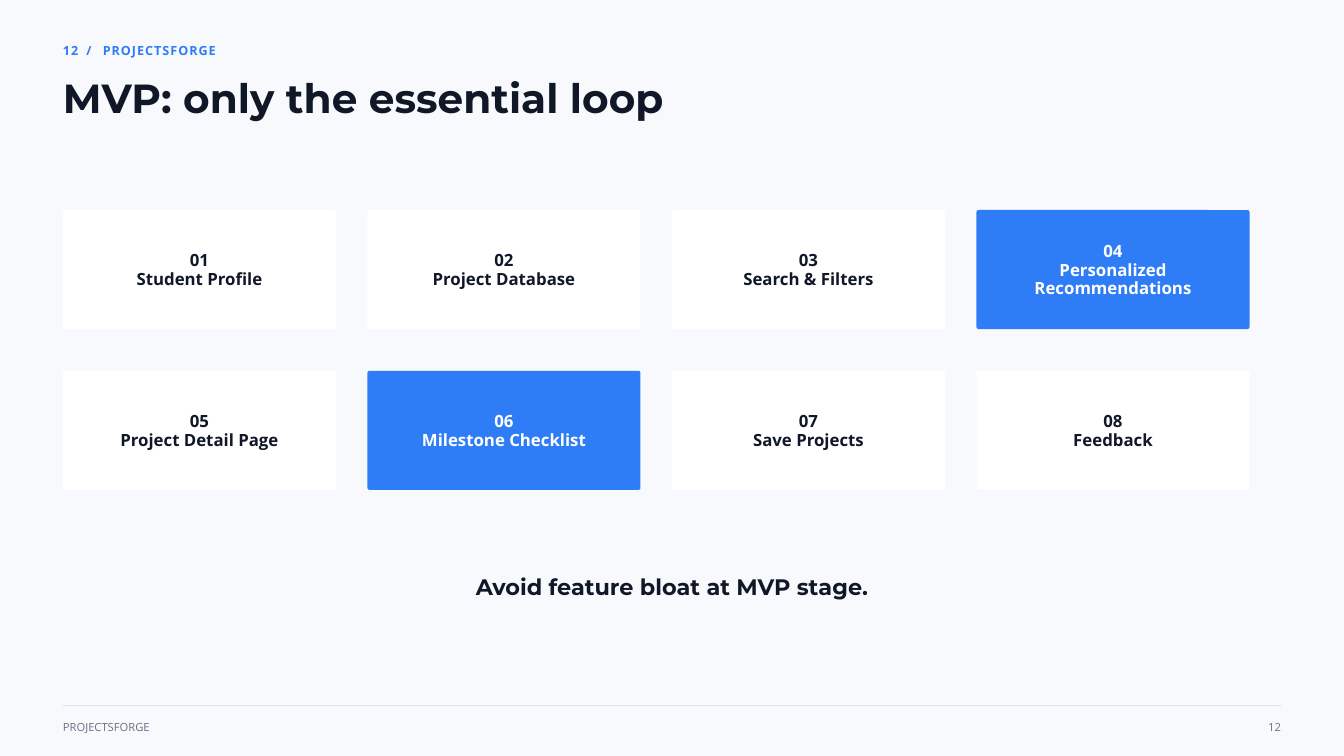
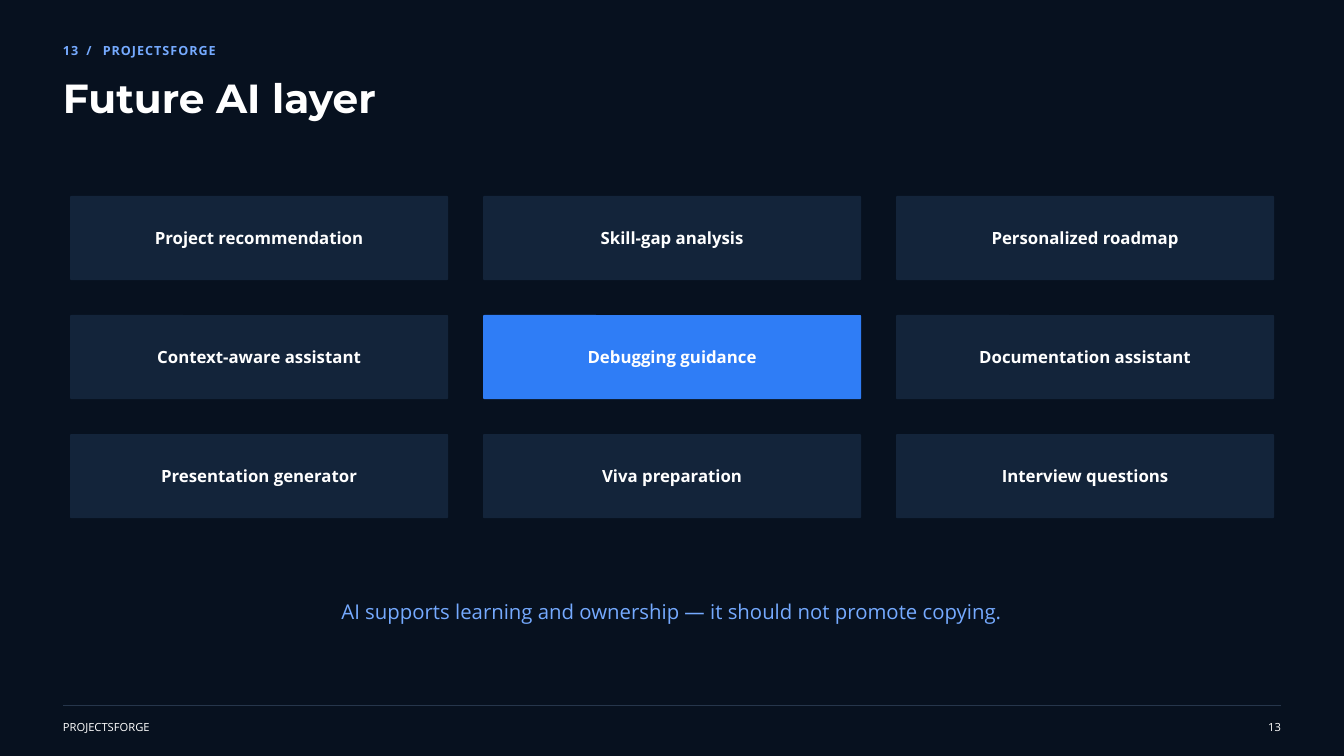
"""Build two slides of a project deck: the MVP loop and the future AI layer."""
from lxml import etree
from pptx import Presentation
from pptx.dml.color import RGBColor
from pptx.enum.shapes import MSO_CONNECTOR, MSO_SHAPE
from pptx.enum.text import MSO_ANCHOR, MSO_AUTO_SIZE, PP_ALIGN
from pptx.oxml.ns import qn
from pptx.util import Cm, Pt

LEFT, CENTER, RIGHT = PP_ALIGN.LEFT, PP_ALIGN.CENTER, PP_ALIGN.RIGHT
TOP, MIDDLE = MSO_ANCHOR.TOP, MSO_ANCHOR.MIDDLE
NO_FIT = MSO_AUTO_SIZE.NONE
ROUND = MSO_SHAPE.ROUNDED_RECTANGLE
STRAIGHT = MSO_CONNECTOR.STRAIGHT

HEAD, BODY = "Montserrat", "Open Sans"
BRAND = "PROJECTSFORGE"
EDGE, WIDE = 2.38, 46.04
COLORS = {
    "blue": "2F7DF6", "sky": "75AAFF", "white": "FFFFFF", "ink": "101828",
    "gray": "667085", "mist": "F7F9FC", "rule": "D9E1EC",
    "night": "07111F", "navy": "13243A", "slate": "26364B",
}
LIGHT = {"back": "mist", "label": "blue", "text": "ink", "card": "white",
         "rule": "rule", "foot": "gray"}
DARK = {"back": "night", "label": "sky", "text": "white", "card": "navy",
        "rule": "slate", "foot": "white"}
STEPS = ["Student Profile", "Project Database", "Search & Filters",
         "Personalized Recommendations", "Project Detail Page",
         "Milestone Checklist", "Save Projects", "Feedback"]
SKILLS = ["Project recommendation", "Skill-gap analysis",
          "Personalized roadmap", "Context-aware assistant",
          "Debugging guidance", "Documentation assistant",
          "Presentation generator", "Viva preparation",
          "Interview questions"]


def tint(name):
    """Return the named colour."""
    return RGBColor.from_string(COLORS[name])


def style(frame, size, color, space, font=BODY, bold=False, align=LEFT,
          anchor=TOP, inset=0):
    """Format a text frame and all its paragraphs."""
    frame.word_wrap = True
    frame.auto_size = NO_FIT
    frame.vertical_anchor = anchor
    frame.margin_left = frame.margin_right = Cm(inset)
    frame.margin_top = frame.margin_bottom = Cm(inset)
    for para in frame.paragraphs:
        para.alignment = align
        para.line_spacing = Pt(space)
        para.space_before = Pt(0)
        para.font.name = font
        para.font.size = Pt(size)
        para.font.bold = bold
        para.font.color.rgb = tint(color)


def add_text(slide, box, text, *look, **more):
    """Add a styled text box and return its frame."""
    frame = slide.shapes.add_textbox(*map(Cm, box)).text_frame
    frame.text = text
    style(frame, *look, **more)
    return frame


def add_label(slide, number, color):
    """Add the spaced label above the title."""
    frame = add_text(slide, (EDGE, 1.52, 17.2, 0.64), "", 13.5, color, 18.9,
                     bold=True)
    for text, gap in ((number, 110), (" / ", 420), (BRAND, 110)):
        run = frame.paragraphs[0].add_run()
        run.text = text
        run.font._element.set("spc", str(gap))


def add_title(slide, text, color):
    """Fill and place the title."""
    title = slide.shapes.title
    title.left, title.top = Cm(EDGE), Cm(3)
    title.width, title.height = Cm(39.68), Cm(1.68)
    title.text_frame.text = text
    style(title.text_frame, 43.5, color, 45.7, font=HEAD, bold=True)


def add_foot(slide, number, theme):
    """Add the footer rule, name and page number."""
    ends = map(Cm, (EDGE, 26.67, EDGE + WIDE, 26.67))
    rule = slide.shapes.add_connector(STRAIGHT, *ends)
    rule.line.color.rgb = tint(theme["rule"])
    rule.line.width = Pt(0.75)
    etree.SubElement(rule._element.spPr, qn("a:effectLst"))
    look = (12, theme["foot"], 15.9)
    add_text(slide, (EDGE, 27.17, 7.94, 0.52), BRAND, *look)
    add_text(slide, (46.56, 27.17, 1.86, 0.52), number, *look, align=RIGHT)


def add_page(deck, number, title, theme):
    """Add a slide with its background, heading and footer."""
    slide = deck.slides.add_slide(deck.slide_layouts[5])
    fill = slide.background.fill
    fill.solid()
    fill.fore_color.rgb = tint(theme["back"])
    add_label(slide, number, theme["label"])
    add_title(slide, title, theme["text"])
    add_foot(slide, number, theme)
    return slide


def add_card(slide, box, text, fill, color, curve):
    """Add one rounded card with centred text."""
    card = slide.shapes.add_shape(ROUND, *map(Cm, box))
    card.adjustments[0] = curve / box[3]
    card.shadow.inherit = False
    card.fill.solid()
    card.fill.fore_color.rgb = tint(fill)
    card.line.fill.background()
    card.text_frame.text = text
    style(card.text_frame, 18, color, 19.8, bold=True, align=CENTER,
          anchor=MIDDLE, inset=0.15)
    card.text_frame.margin_top = Cm(0.21)


def add_grid(slide, items, cols, box, step, theme, hot, curve):
    """Lay cards out in rows, with the hot ones in blue."""
    left, top, width, height = box
    for spot, text in enumerate(items):
        row, col = divmod(spot, cols)
        place = (left + col * step[0], top + row * step[1], width, height)
        fill, color = theme["card"], theme["text"]
        if spot in hot:
            fill, color = "blue", "white"
        add_card(slide, place, text, fill, color, curve)


def main():
    """Build and save the deck."""
    deck = Presentation()
    deck.slide_width, deck.slide_height = Cm(50.8), Cm(28.58)

    loop = add_page(deck, "12", "MVP: only the essential loop", LIGHT)
    steps = [f"{num:02}\n{name}" for num, name in enumerate(STEPS, 1)]
    add_grid(loop, steps, 4, (EDGE, 7.94, 10.32, 4.5), (11.51, 6.08),
             LIGHT, {3, 5}, 0.08)
    add_text(loop, (14.29, 21.8, 22.22, 0.89),
             "Avoid feature bloat at MVP stage.", 24, "ink", 25.2,
             font=HEAD, bold=True, align=CENTER)

    layer = add_page(deck, "13", "Future AI layer", DARK)
    add_grid(layer, SKILLS, 3, (2.65, 7.41, 14.29, 3.18), (15.61, 4.5),
             DARK, {4}, 0.05)
    add_text(layer, (9.52, 22.54, 31.75, 1),
             "AI supports learning and ownership — it should not promote "
             "copying.", 21.8, "sky", 29.4, align=CENTER)
    deck.save("out.pptx")


if __name__ == "__main__":
    main()
